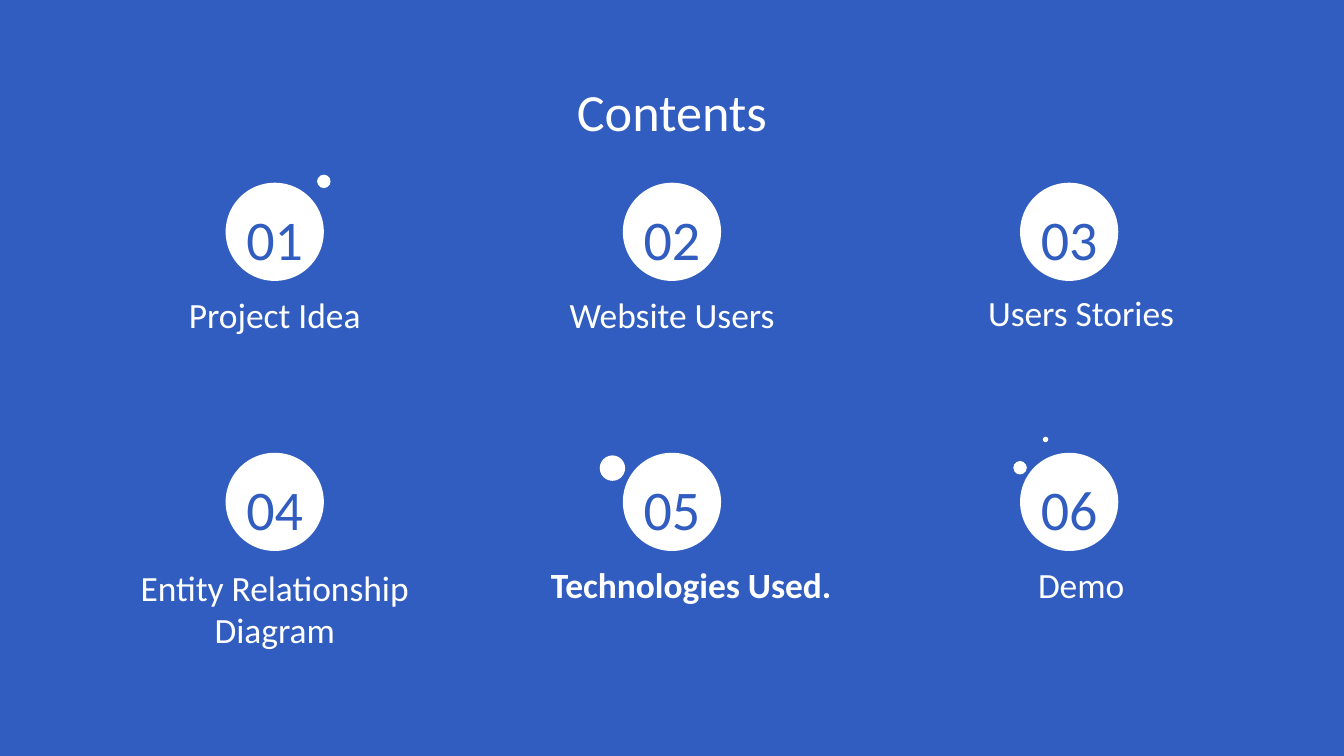
from pptx import Presentation
from pptx.dml.color import RGBColor
from pptx.enum import shapes, text
from pptx.util import Pt

COLORS = {"blue": "305DBF", "white": "FFFFFF"}
FONT = "Calibri"

# Grid of three columns and two rows
CENTERS = [147.2, 360, 572.8]
ROW_TOPS = [97.9, 242.6]
CIRCLE = 52.6
LABEL_W, LABEL_H = 190.8, 33

# Label text, its shift from the column centre, its top, extra format
TOPICS = [
    ("Project Idea", 0, 149.8, {}),
    ("Website Users", 0, 149.8, {}),
    ("Users Stories", 6.4, 149, {}),
    ("Entity Relationship Diagram", 0, 295.9, {}),
    ("Technologies Used.", 5.8, 294.5,
     {"w": 213.1, "bold": True, "margin": 36, "indent": -27}),
    ("Demo", 6.4, 294.5, {}),
]

# Decorative dots: left, top, diameter
DOTS = [(169.9, 93.6, 7.2), (542.9, 247, 7.2), (558.7, 234, 2.9),
        (321.3, 244, 13.6)]


def rgb(name):
    return RGBColor.from_string(COLORS[name])


def add_circle(s, x, y, size):
    sp = s.shapes.add_shape(shapes.MSO_SHAPE.OVAL,
                            Pt(x), Pt(y), Pt(size), Pt(size))
    sp.shadow.inherit = False
    sp.fill.solid()
    sp.fill.fore_color.rgb = rgb("white")
    sp.line.fill.background()


def add_text(s, content, x, y, w, h, size=19, color="white", bold=False,
             anchor=text.MSO_ANCHOR.TOP, bottom=7.2, margin=0, indent=0):
    tf = s.shapes.add_textbox(Pt(x), Pt(y), Pt(w), Pt(h)).text_frame
    tf.word_wrap = True
    tf.vertical_anchor = anchor
    tf.margin_left = tf.margin_right = tf.margin_top = Pt(7.2)
    tf.margin_bottom = Pt(bottom)
    p = tf.paragraphs[0]
    p.alignment = text.PP_ALIGN.CENTER
    if margin:
        pPr = p._p.get_or_add_pPr()
        pPr.set("marL", str(Pt(margin)))
        pPr.set("indent", str(Pt(indent)))
    r = p.add_run()
    r.text = content
    r.font.name = FONT
    r.font.size = Pt(size)
    r.font.bold = bold
    r.font.color.rgb = rgb(color)


def add_topic(s, index, label, shift, top, style):
    row, col = divmod(index, len(CENTERS))
    center = CENTERS[col]
    x, y = center - CIRCLE / 2, ROW_TOPS[row]
    add_circle(s, x, y, CIRCLE)
    add_text(s, f"{index + 1:02}", x, y, CIRCLE, CIRCLE, size=30,
             color="blue", anchor=text.MSO_ANCHOR.BOTTOM, bottom=5)
    style = {"w": LABEL_W, "h": LABEL_H, **style}
    add_text(s, label, center + shift - style["w"] / 2, top, **style)


def main():
    prs = Presentation()
    prs.slide_width, prs.slide_height = Pt(720), Pt(405)
    s = prs.slides.add_slide(prs.slide_layouts[6])
    s.background.fill.solid()
    s.background.fill.fore_color.rgb = rgb("blue")

    # Title
    add_text(s, "Contents", 24.5, 35.5, 671, 45.4, size=28)

    # Numbered topics
    for index, topic in enumerate(TOPICS):
        add_topic(s, index, *topic)

    # Decorative dots
    for dot in DOTS:
        add_circle(s, *dot)

    prs.save("out.pptx")


if __name__ == "__main__":
    main()
